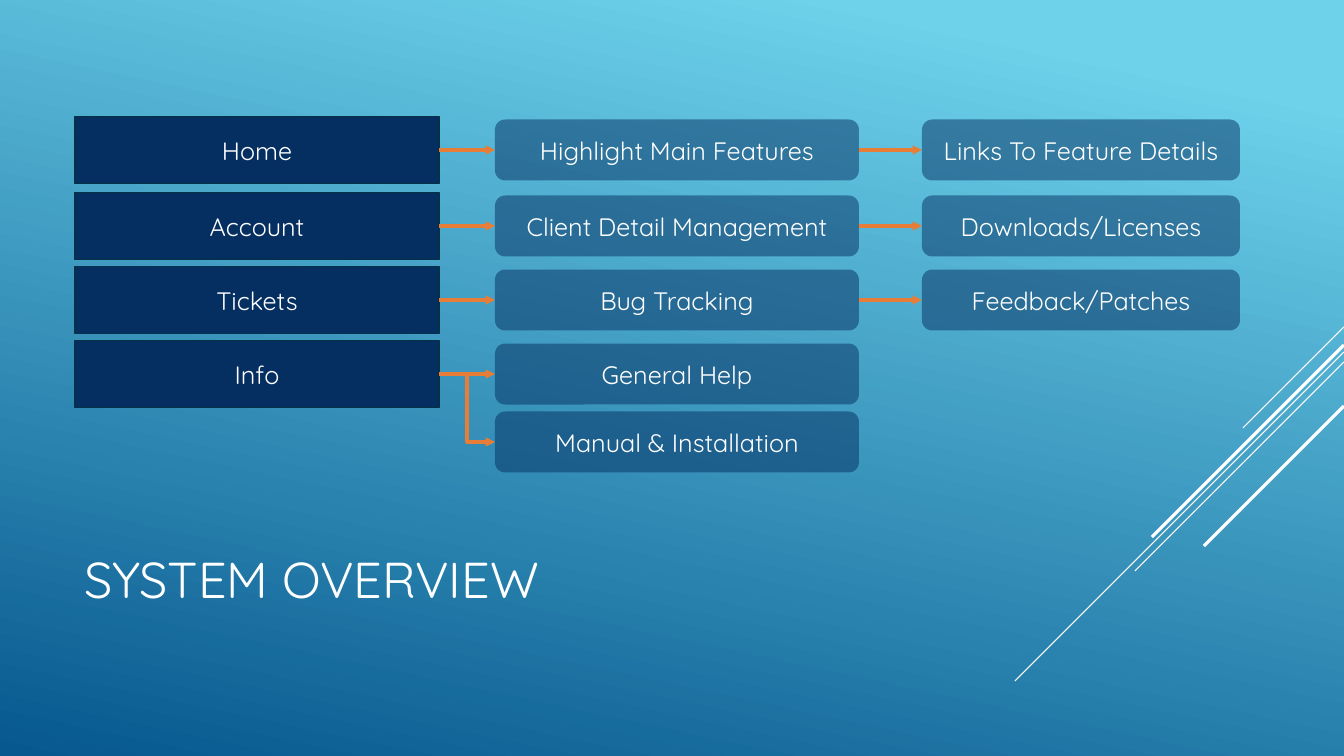
from pptx import Presentation
from pptx.dml.color import RGBColor
from pptx.enum.shapes import MSO_CONNECTOR as Connector, MSO_SHAPE as Shape
from pptx.enum.text import MSO_ANCHOR as Anchor, PP_ALIGN as Align
from pptx.oxml.ns import qn
from pptx.util import Pt
from lxml.etree import SubElement

# Content: page, then its features from left to right; one entry per row
TITLE = "SYSTEM OVERVIEW"
ROWS = [
    ("Home", "Highlight Main Features", "Links To Feature Details"),
    ("Account", "Client Detail Management", "Downloads/Licenses"),
    ("Tickets", "Bug Tracking", "Feedback/Patches"),
    ("Info", "General Help"),
    (None, "Manual & Installation"),
]
ROW_CENTERS = [150, 226, 300, 374, 442]
COLUMNS = [(75, 364, 67), (495, 364, 61), (922, 318, 61)]  # left, width, height

# Diagonals run down-left from the right edge: top, run, weight
DIAGONALS = [(327, 101, 0.75), (352, 329, 0.75), (362, 209, 0.75),
             (345, 192, 2.25), (406, 140, 2.25)]

FONT = "Quicksand"
WHITE = RGBColor(0xFF, 0xFF, 0xFF)
NAVY = RGBColor(0x05, 0x2F, 0x61)
NAVY_EDGE = RGBColor(0x04, 0x31, 0x48)
ORANGE = RGBColor(0xE8, 0x7D, 0x37)
SKY = RGBColor(0x6E, 0xD2, 0xEB)
OCEAN = RGBColor(0x06, 0x58, 0x8E)
WIDTH, HEIGHT = 1344, 756


def px(pixels):
    return round(pixels * 914400 / 100.8)


def write(shape, text, size, align):
    frame = shape.text_frame
    frame.word_wrap = True
    frame.vertical_anchor = Anchor.MIDDLE
    paragraph = frame.paragraphs[0]
    paragraph.alignment = align
    run = paragraph.add_run()
    run.text = text
    run.font.name = FONT
    run.font.size = Pt(size)
    run.font.color.rgb = WHITE


def add_box(text, column, center):
    left, width, height = COLUMNS[column]
    kind = Shape.ROUNDED_RECTANGLE if column else Shape.RECTANGLE
    box = slide.shapes.add_shape(
        kind, px(left), px(center - height / 2), px(width), px(height))
    box.shadow.inherit = False
    box.fill.solid()
    box.fill.fore_color.rgb = NAVY
    if column:
        color = box.fill._xPr.find(qn("a:solidFill")).find(qn("a:srgbClr"))
        SubElement(color, qn("a:alpha"), val="50000")
        box.line.fill.background()
    else:
        box.line.color.rgb = NAVY_EDGE
        box.line.width = Pt(1.25)
    write(box, text, 18, Align.CENTER)


def add_line(start, end, color, weight, kind=Connector.STRAIGHT, arrow=False):
    line = slide.shapes.add_connector(kind, *map(px, start + end))
    line.line.color.rgb = color
    line.line.width = Pt(weight)
    if arrow:
        SubElement(line.line._get_or_add_ln(), qn("a:tailEnd"), type="triangle")
    SubElement(line._element.spPr, qn("a:effectLst"))


def add_arrow(column, start_y, end_y, kind=Connector.STRAIGHT):
    left, width, _ = COLUMNS[column - 1]
    add_line((left + width, start_y), (COLUMNS[column][0], end_y),
             ORANGE, 2.25, kind, arrow=True)


presentation = Presentation()
presentation.slide_width, presentation.slide_height = px(WIDTH), px(HEIGHT)
slide = presentation.slides.add_slide(presentation.slide_layouts[6])

# Background gradient
background = slide.background.fill
background.gradient()
background.gradient_angle = 360 - 102
for stop, position, color in zip(background.gradient_stops, (0.1, 1), (SKY, OCEAN)):
    stop.position = position
    stop.color.rgb = color

# Decorative diagonals
for top, run_length, weight in DIAGONALS:
    add_line((WIDTH, top), (WIDTH - run_length, top + run_length), WHITE, weight)

# Title
title = slide.shapes.add_textbox(px(75), px(495), px(940), px(166))
write(title, TITLE, 36, Align.LEFT)

# Boxes and arrows; a row without a page branches from the row above
for row, (texts, center) in enumerate(zip(ROWS, ROW_CENTERS)):
    for column, text in enumerate(texts):
        if text:
            add_box(text, column, center)
        if column and texts[column - 1]:
            add_arrow(column, center, center)
        elif column:
            add_arrow(column, ROW_CENTERS[row - 1], center, Connector.ELBOW)

presentation.save("out.pptx")
